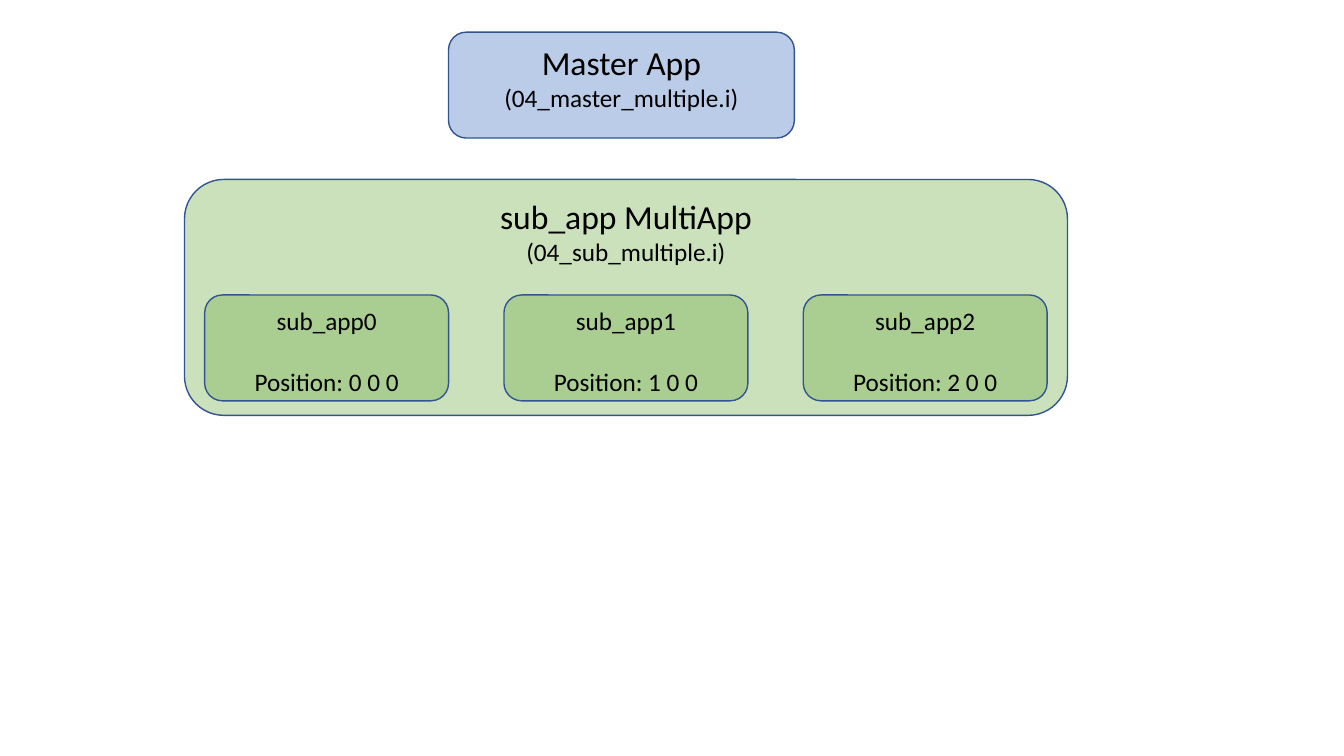
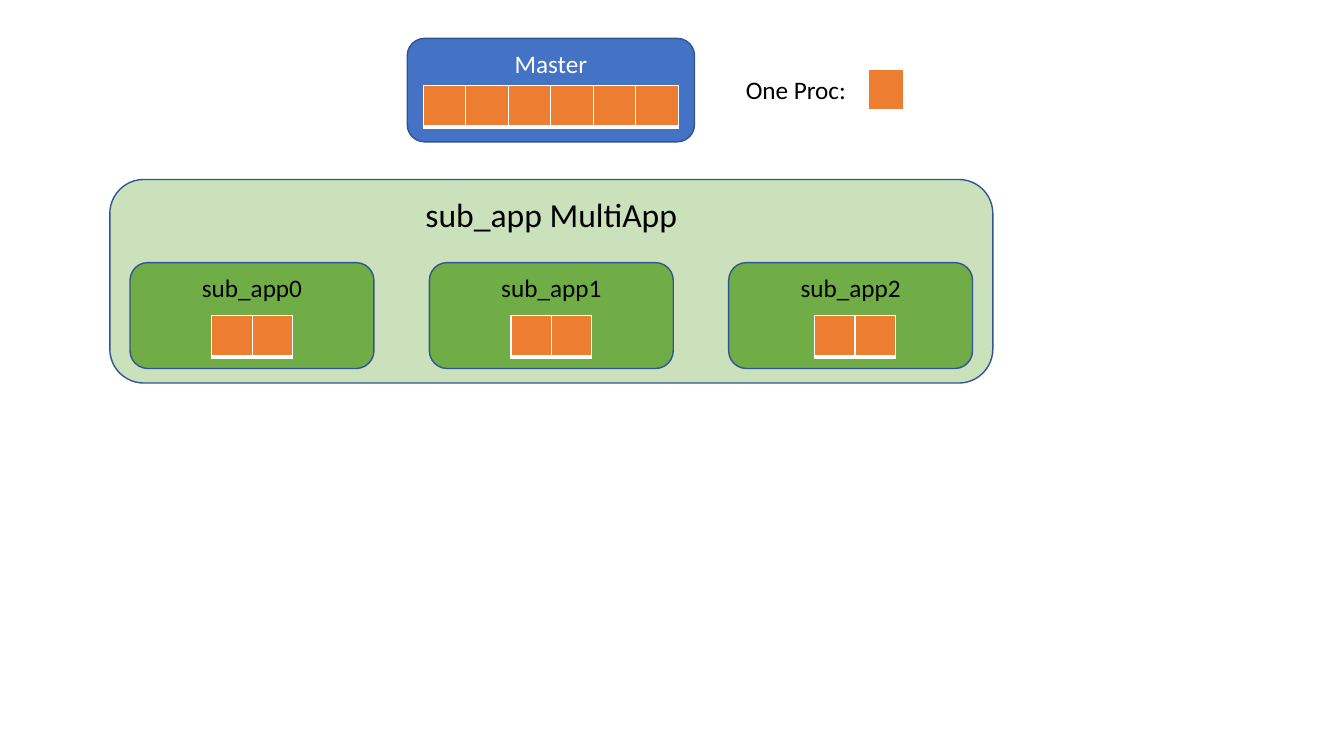
from dataclasses import dataclass

from lxml.etree import SubElement
from pptx import Presentation
from pptx.dml.color import RGBColor
from pptx.enum.shapes import MSO_SHAPE as Shape
from pptx.enum.text import MSO_ANCHOR as Anchor, MSO_AUTO_SIZE as AutoSize, PP_ALIGN as Align
from pptx.oxml.ns import qn
from pptx.slide import Slide
from pptx.util import Pt

FONT = "Calibri"
BLUE, GREEN, ORANGE = "4472C4", "70AD47", "ED7D31"
OUTLINE, BLACK, WHITE = "325491", "000000", "FFFFFF"
TINT = 36
HEAD, BODY = 24, 18

GROUP_TOP, GROUP_W = 128.2, 630.7
SUB_W, SUB_H, SUB_PITCH = 174.2, 75.6, 213.8
SUB_INSET, SUB_BOTTOM_GAP = 14.4, 10.4
PROC_H = 29.5


@dataclass
class Line:
    """One paragraph of a box."""
    text: str
    size: int = BODY
    before: float = 0


@dataclass
class Box:
    """A rounded box with text at its top."""
    left: float
    top: float
    width: float
    height: float
    color: str
    lines: list[Line]
    opacity: int = 100
    text_color: str = BLACK


@dataclass
class Procs:
    """A row of processor cells."""
    left: float
    top: float
    cell_w: float
    count: int


def rgb(color: str) -> RGBColor:
    """Turn a hex string into a colour."""
    return RGBColor.from_string(color)


def style_font(p, size: int, color: str) -> None:
    """Set the font of a paragraph."""
    p.font.name, p.font.size = FONT, Pt(size)
    p.font.color.rgb = rgb(color)


def add_box(slide: Slide, box: Box) -> None:
    """Draw a rounded box with centred lines."""
    sp = slide.shapes.add_shape(Shape.ROUNDED_RECTANGLE, Pt(box.left), Pt(box.top),
                                Pt(box.width), Pt(box.height))
    sp.shadow.inherit = False
    sp.fill.solid()
    sp.fill.fore_color.rgb = rgb(box.color)
    if box.opacity < 100:
        clr = sp._element.spPr.find(qn("a:solidFill"))[0]
        SubElement(clr, qn("a:alpha"), val=str(box.opacity * 1000))
    sp.line.color.rgb = rgb(OUTLINE)
    sp.line.width = Pt(1)
    tf = sp.text_frame
    tf.word_wrap = True
    tf.vertical_anchor = Anchor.TOP
    for i, line in enumerate(box.lines):
        p = tf.add_paragraph() if i else tf.paragraphs[0]
        p.text = line.text
        p.alignment = Align.CENTER
        p.space_before = Pt(line.before)
        style_font(p, line.size, box.text_color)


def add_group(slide: Slide, left: float, height: float, header: list[Line],
              subs: list[list[Line]], opacity: int) -> None:
    """Draw the MultiApp box and the row of sub-apps at its bottom."""
    add_box(slide, Box(left, GROUP_TOP, GROUP_W, height, GREEN, header, TINT))
    top = GROUP_TOP + height - SUB_BOTTOM_GAP - SUB_H
    for i, lines in enumerate(subs):
        add_box(slide, Box(left + SUB_INSET + i * SUB_PITCH, top, SUB_W, SUB_H,
                           GREEN, lines, opacity))


def add_border(cell, side: str, width: float) -> None:
    """Give one side of a cell a white line."""
    ln = SubElement(cell._tc.get_or_add_tcPr(), qn(f"a:ln{side}"), w=str(Pt(width)))
    SubElement(SubElement(ln, qn("a:solidFill")), qn("a:srgbClr"), val=WHITE)


def add_procs(slide: Slide, procs: Procs) -> None:
    """Draw processors as a table of one row."""
    frame = slide.shapes.add_table(1, procs.count, Pt(procs.left), Pt(procs.top),
                                   Pt(procs.cell_w * procs.count), Pt(PROC_H))
    for col in frame.table.columns:
        col.width = Pt(procs.cell_w)
    for cell in frame.table.iter_cells():
        for side, width in (("L", 1), ("R", 1), ("T", 1), ("B", 3)):
            add_border(cell, side, width)
        cell.fill.solid()
        cell.fill.fore_color.rgb = rgb(ORANGE)


def add_label(slide: Slide, text: str, left: float, top: float,
              width: float, height: float) -> None:
    """Place a plain label."""
    tf = slide.shapes.add_textbox(Pt(left), Pt(top), Pt(width), Pt(height)).text_frame
    tf.word_wrap = False
    tf.auto_size = AutoSize.SHAPE_TO_FIT_TEXT
    p = tf.paragraphs[0]
    p.text = text
    style_font(p, BODY, BLACK)


def build_positions(slide: Slide) -> None:
    """Show the master input and the position of each sub-app."""
    add_box(slide, Box(320.4, 23, 247, 75.6, BLUE,
                       [Line("Master App", HEAD), Line("(04_master_multiple.i)")], TINT))
    subs = [[Line(f"sub_app{i}"), Line(f"Position: {i} 0 0", before=22)] for i in range(3)]
    add_group(slide, 131.8, 168.5,
              [Line("sub_app MultiApp", HEAD), Line("(04_sub_multiple.i)")], subs, TINT)


def build_processors(slide: Slide) -> None:
    """Show how processors are shared among the apps."""
    add_box(slide, Box(290.9, 27.4, 205.2, 73.9, BLUE, [Line("Master")], text_color=WHITE))
    add_label(slide, "One Proc:", 525.6, 49.7, 87.1, 29)
    add_group(slide, 78.5, 145.4, [Line("sub_app MultiApp", HEAD)],
              [[Line(f"sub_app{i}")] for i in range(3)], 100)
    add_procs(slide, Procs(302.4, 61.2, 30.36, 6))
    add_procs(slide, Procs(620, 49.7, 25.6, 1))
    for left in (151.2, 365, 581.8):
        add_procs(slide, Procs(left, 225.4, 28.9, 2))


def main() -> None:
    """Build and save the presentation."""
    prs = Presentation()
    prs.slide_width, prs.slide_height = Pt(960), Pt(540)
    blank = prs.slide_layouts[6]
    for build in (build_positions, build_processors):
        build(prs.slides.add_slide(blank))
    prs.save("out.pptx")


main()
